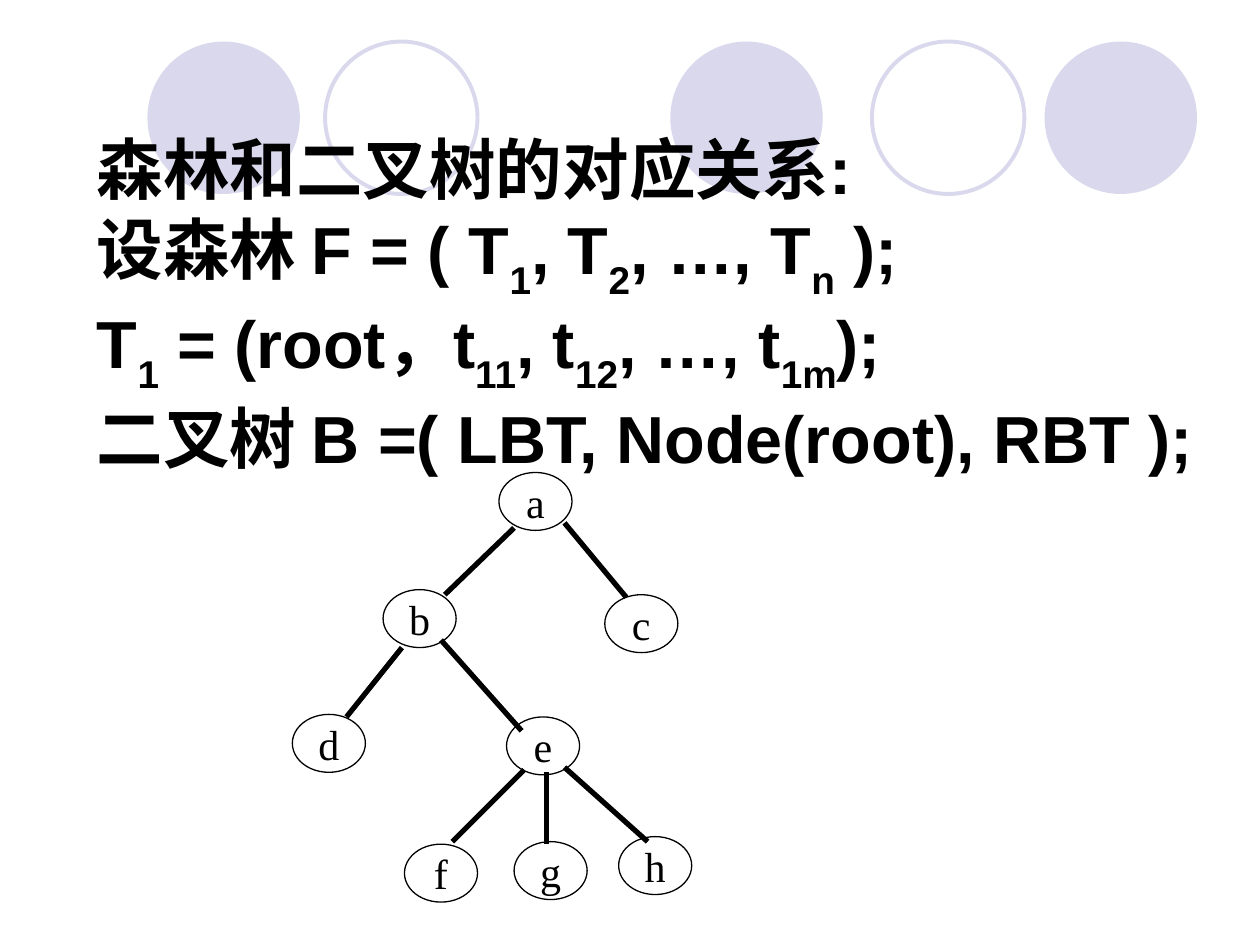
from pptx import Presentation
from pptx.dml.color import RGBColor
from pptx.enum.shapes import MSO_CONNECTOR as CONN, MSO_SHAPE as SHAPE
from pptx.enum.text import MSO_ANCHOR as ANCHOR, PP_ALIGN as ALIGN
from pptx.oxml.xmlchemy import OxmlElement
from pptx.util import Inches, Pt

BLACK = RGBColor(0x00, 0x00, 0x00)
LILAC = RGBColor(0xD9, 0xD8, 0xEC)
COLS, ROWS = 100, 75
NODE_W, NODE_H = 5.8, 4.6
DISC = 12.1

DISCS = [(53.2, True), (82.9, True), (11.7, True), (69.2, False), (25.8, False)]
TITLE = [
    "森林和二叉树的对应关系:",
    "设森林 F = ( T|1|, T|2|, …, T|n| );",
    "T|1| = (root，t|11|, t|12|, …, t|1m|);",
    "二叉树 B =( LBT, Node(root), RBT );",
]
NODES = {
    "a": (39.6, 37.5), "b": (30.4, 46.8), "e": (40.2, 56.9), "c": (48, 47.2),
    "d": (23.2, 56.7), "f": (32.1, 67), "h": (49.1, 66.4), "g": (40.8, 66.8),
}
EDGES = [
    (40.8, 41.9, 35.3, 47.2), (31.9, 51.4, 27.5, 56.9),
    (44.8, 41.5, 49.7, 47.4), (35, 50.8, 41.4, 58),
    (41.6, 61.1, 35.9, 66.8), (44.8, 60.9, 51.4, 66.8),
    (43.4, 61.3, 43.4, 67),
]


class Deck:
    title_font = {"name": "Arial", "size": Pt(38), "bold": True}
    node_font = {"name": "Times New Roman", "size": Pt(24), "bold": False}

    def __init__(self):
        self.prs = Presentation()
        self.prs.slide_width, self.prs.slide_height = Inches(10), Inches(7.5)
        self.s = self.prs.slides.add_slide(self.prs.slide_layouts[6])

    def x(self, col):
        return round(self.prs.slide_width * col / COLS)

    def y(self, row):
        return round(self.prs.slide_height * row / ROWS)

    def box(self, col, row, w, h):
        return self.x(col), self.y(row), self.x(w), self.y(h)

    def run(self, p, text, font, sub=False):
        r = p.add_run()
        r.text = text
        for key, value in font.items():
            setattr(r.font, key, value)
        r.font.color.rgb = BLACK
        if sub:
            r._r.get_or_add_rPr().set("baseline", "-30000")

    def ellipse(self, col, row, w, h, fill=None, line=None, width=0.75):
        sp = self.s.shapes.add_shape(SHAPE.OVAL, *self.box(col, row, w, h))
        sp.shadow.inherit = False
        if fill is None:
            sp.fill.background()
        else:
            sp.fill.solid()
            sp.fill.fore_color.rgb = fill
        if line is None:
            sp.line.fill.background()
        else:
            sp.line.color.rgb = line
            sp.line.width = Pt(width)
        return sp

    def disc(self, col, filled):
        style = {"fill": LILAC} if filled else {"line": LILAC, "width": 2.25}
        self.ellipse(col, 3.3, DISC, DISC, **style)

    def node(self, label, col, row):
        tf = self.ellipse(col, row, NODE_W, NODE_H, line=BLACK).text_frame
        tf.word_wrap = False
        tf.vertical_anchor = ANCHOR.MIDDLE
        p = tf.paragraphs[0]
        p.alignment = ALIGN.CENTER
        self.run(p, label, self.node_font)

    def edge(self, x1, y1, x2, y2):
        ends = self.x(x1), self.y(y1), self.x(x2), self.y(y2)
        c = self.s.shapes.add_connector(CONN.STRAIGHT, *ends)
        c.line.color.rgb = BLACK
        c.line.width = Pt(3)
        c._element.spPr.append(OxmlElement("a:effectLst"))

    def title(self, lines, col, row, w, h):
        tf = self.s.shapes.add_textbox(*self.box(col, row, w, h)).text_frame
        tf.word_wrap = True
        tf.vertical_anchor = ANCHOR.MIDDLE
        tf.margin_top = tf.margin_bottom = 0
        for i, text in enumerate(lines):
            p = tf.add_paragraph() if i else tf.paragraphs[0]
            for j, part in enumerate(text.split("|")):
                self.run(p, part, self.title_font, sub=j % 2 == 1)


def main():
    deck = Deck()
    for col, filled in DISCS:
        deck.disc(col, filled)
    deck.title(TITLE, 6.7, 10.3, 96.1, 27.4)
    for label, place in NODES.items():
        deck.node(label, *place)
    for ends in EDGES:
        deck.edge(*ends)
    deck.prs.save("out.pptx")


if __name__ == "__main__":
    main()
